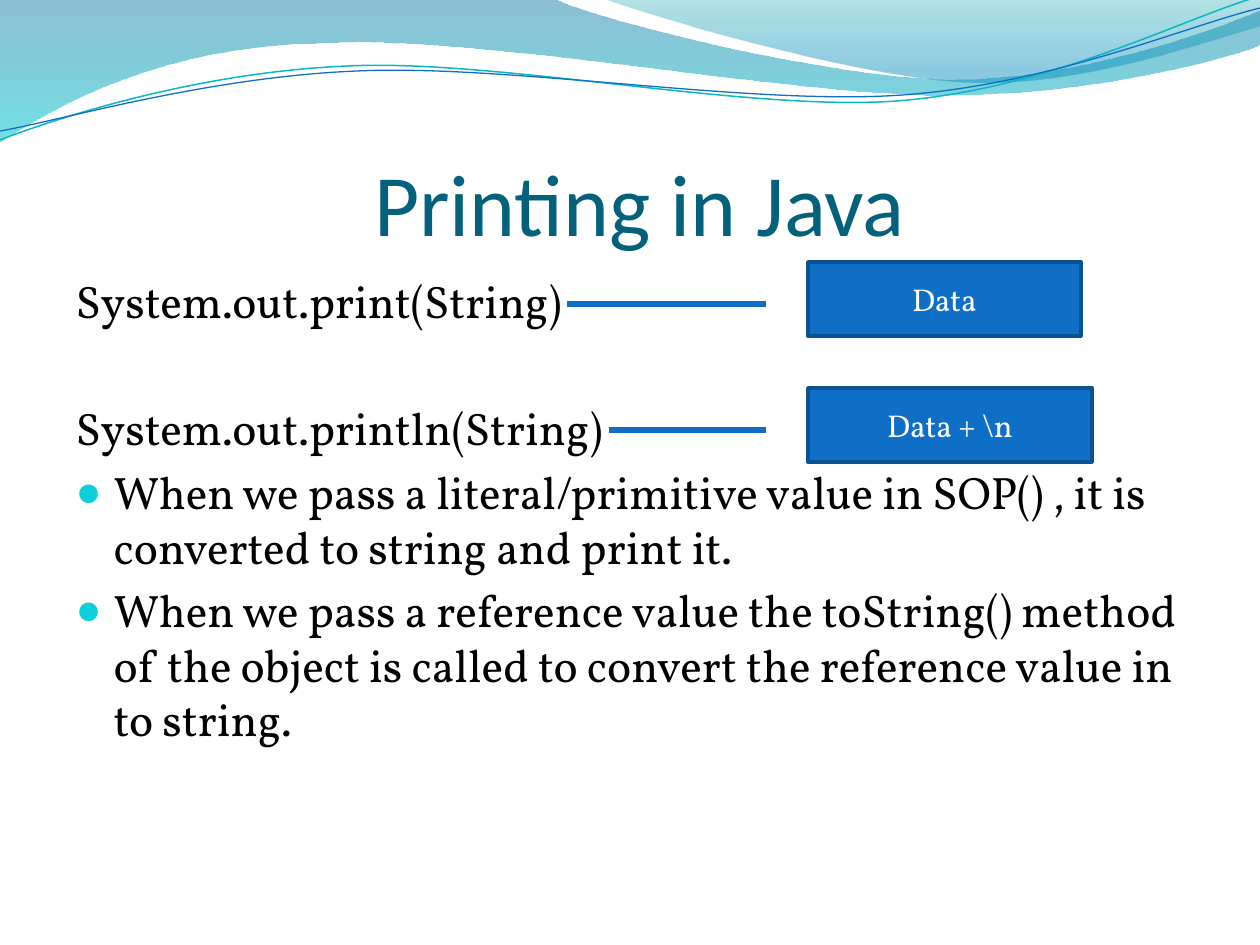
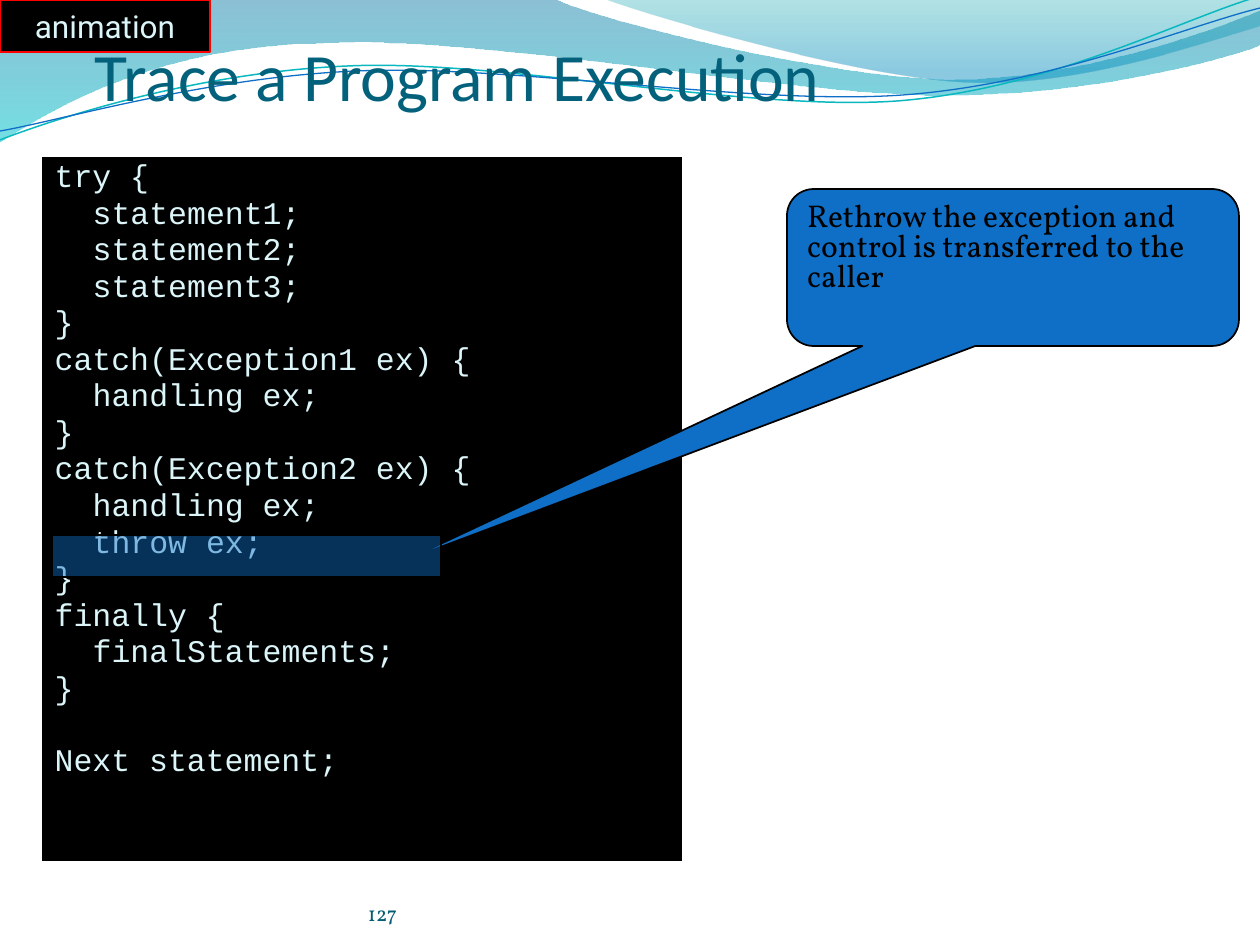
from math import cos, radians, sin
from lxml.etree import SubElement
from pptx import Presentation
from pptx.dml.color import RGBColor
from pptx.enum.shapes import MSO_CONNECTOR, MSO_SHAPE
from pptx.enum.text import MSO_ANCHOR, MSO_AUTO_SIZE, PP_ALIGN
from pptx.oxml.ns import qn
from pptx.util import Pt

SCALE = 914400 / 126
BLUE, EDGE, TEAL, CYAN = "0F6FC6", "0B5292", "04617B", "0BD0D9"
BLACK, WHITE, PALE, RED = "000000", "FFFFFF", "DBF5F9", "FF0000"
SERIF, SANS, MONO = "Vollkorn", "Calibri", "Courier New"
LEFT, MID = PP_ALIGN.LEFT, PP_ALIGN.CENTER
TOP, LOW = MSO_ANCHOR.TOP, MSO_ANCHOR.BOTTOM
TILT = 2.7

# Wave outlines: a start point, then lines (2 numbers) and curves (6 numbers)
BACK = [(0, 0), (554, -1), (600, 21, 837, 79, 955, 79),
        (1075, 79, 1207, 33, 1260, 11), (1261, 45),
        (1239, 55, 1096, 96, 940, 95), (784, 95, 481, 35, 324, 43),
        (163, 45, 58, 105, -1, 142), (0, 0)]
FRONT = [(604, -1), (641, 14, 859, 78, 969, 82),
         (1079, 87, 1211, 40, 1260, 26), (1260, 0), (604, -1)]
UPPER = [(0, 140), (60, 117, 199, 72, 349, 66),
         (498, 59, 747, 112, 898, 101), (1050, 89, 1182, 19, 1257, -3)]
LOWER = [(0, 131), (59, 121, 207, 77, 357, 71),
         (508, 64, 752, 106, 903, 95), (1053, 84, 1186, 26, 1260, 8)]


def px(n):
    return round(n * SCALE)


def rgb(code):
    return RGBColor.from_string(code)


def fade(node, part):
    """Set the opacity, in percent, of the colour inside a fill node."""
    color = next(node.iter(qn("a:srgbClr")))
    SubElement(color, qn("a:alpha"), val=str(part * 1000))


def place(shape, box):
    shape.left, shape.top, shape.width, shape.height = map(px, box)


def write(shape, lines, size=18, face=SERIF, color=BLACK, align=LEFT,
          anchor=TOP, wrap=True, pad=None, space=None):
    frame = shape.text_frame
    frame.auto_size = MSO_AUTO_SIZE.NONE
    frame.word_wrap, frame.vertical_anchor = wrap, anchor
    if pad:
        (frame.margin_left, frame.margin_top,
         frame.margin_right, frame.margin_bottom) = map(px, pad)
    frame.text = "\n".join(lines)
    for para in frame.paragraphs:
        para.alignment, para.line_spacing = align, space
        for run in para.runs:
            font = run.font
            font.size, font.name = Pt(size), face
            font.color.rgb = rgb(color)
    return frame.paragraphs


def indent(para, left, first):
    props = para._p.get_or_add_pPr()
    props.set("marL", str(px(left)))
    props.set("indent", str(px(first)))
    return props


def bullet(para, shown=True):
    props = indent(para, 38, -38)
    if not shown:
        SubElement(props, qn("a:buNone"))
        return
    tint = SubElement(props, qn("a:buClr"))
    SubElement(tint, qn("a:srgbClr"), val=CYAN)
    SubElement(props, qn("a:buSzPct"), val="95000")
    SubElement(props, qn("a:buChar"), char="●")


def block(slide, box, fill, line, width, kind=MSO_SHAPE.RECTANGLE):
    shape = slide.shapes.add_shape(kind, *map(px, box))
    shape.shadow.inherit = False
    shape.fill.solid()
    shape.fill.fore_color.rgb = rgb(fill)
    shape.line.color.rgb = rgb(line)
    shape.line.width = Pt(width)
    return shape


def turn(point, hub, angle):
    """Rotate a point clockwise about a hub."""
    c, s = cos(radians(angle)), sin(radians(angle))
    x, y = point[0] - hub[0], point[1] - hub[1]
    return hub[0] + x * c - y * s, hub[1] + x * s + y * c


def wave(slide, outline, close, hub=(0, 0), angle=0):
    """Draw an outline, joining each three points of a curve into one."""
    points = [turn(part[i:i + 2], hub, angle)
              for part in outline for i in range(0, len(part), 2)]
    points = [(px(x), px(y)) for x, y in points]
    build = slide.shapes.build_freeform(*points[0])
    build.add_line_segments(points[1:], close=close)
    shape = build.convert_to_shape()
    shape.shadow.inherit = False
    shape.rotation = -angle % 360
    nodes = iter(list(shape._element.iter(qn("a:lnTo"))))
    for part in outline[1:]:
        node = next(nodes)
        if len(part) == 6:
            curve = node.makeelement(qn("a:cubicBezTo"))
            node.addprevious(curve)
            for step in (node, next(nodes), next(nodes)):
                curve.append(step[0])
                step.getparent().remove(step)
    return shape


def header(slide):
    # Shaded bands
    for outline, stops in ((BACK, [(0, "0074A1", 45), (1, "00C6CF", 55)]),
                           (FRONT, [(0, "00A1A9", 30), (0.8, "008BBF", 45)])):
        band = wave(slide, outline, True)
        band.line.fill.background()
        band.fill.gradient()
        band.fill.gradient_angle = 270
        for stop, (pos, code, part) in zip(band.fill.gradient_stops, stops):
            stop.position, stop.color.rgb = pos, rgb(code)
            fade(stop._gs, part)
    # Thin curves
    for outline, mid, code, width in ((UPPER, 72, "0AB8BF", 0.85),
                                      (LOWER, 74, BLUE, 0.75)):
        curve = wave(slide, outline, False, (629, mid), TILT)
        curve.fill.background()
        curve.line.color.rgb = rgb(code)
        curve.line.width = Pt(width)


def start(deck, title, box, size, align):
    """Add a slide with waves behind its title; return it and its body."""
    slide = deck.slides.add_slide(deck.slide_layouts[1])
    header(slide)
    for holder in list(slide.placeholders):
        slide.shapes._spTree.append(holder._element)
    head = slide.shapes.title
    place(head, box)
    write(head, [title], size=size, face=SANS, color=TEAL, align=align,
          anchor=LOW, pad=(0, 6, 0, 0))
    return slide, slide.placeholders[1]


def call(slide, box, text, reach):
    """Draw an output box with a rule leading towards it."""
    x, y, wide, high = box
    rule = slide.shapes.add_connector(
        MSO_CONNECTOR.STRAIGHT, px(x - reach), px(y + 42), px(x - 42), px(y + 42))
    rule.line.color.rgb = rgb(BLUE)
    rule.line.width = Pt(3)
    SubElement(rule._element.spPr, qn("a:effectLst"))
    shape = block(slide, box, BLUE, EDGE, 2)
    write(shape, [text], color=WHITE, align=MID, anchor=MSO_ANCHOR.MIDDLE)


def prints(deck):
    slide, body = start(deck, " Printing in Java", (63, 97, 1134, 157), 50, MID)
    # Methods and rules
    place(body, (63, 267, 1134, 605))
    paras = write(body, [
        "System.out.print(String)",
        "System.out.println(String)",
        "When we pass a literal/primitive value in SOP() , it is "
        "converted to string and print it.",
        "When we pass a reference value the toString() method of the object "
        "is called to convert the reference value in to string."], size=26)
    paras[1].space_before = Pt(41.5)
    for i, para in enumerate(paras):
        bullet(para, i > 1)
    # Output of each method
    call(slide, (808, 262, 273, 74), "Data", 241)
    call(slide, (808, 388, 284, 74), "Data + \\n", 199)


def code(body, box):
    place(body, box)
    body.fill.solid()
    body.fill.fore_color.rgb = rgb(BLACK)
    lines = ["try {", "  statement1;", "  statement2;", "  statement3;", "}",
             "catch(Exception1 ex) {", "  handling ex;", "}",
             "catch(Exception2 ex) {", "  handling ex;", "  throw ex;", "}",
             "finally {", "  finalStatements;", "}", "Next statement;"]
    paras = write(body, [line.strip() for line in lines], face=MONO,
                  color=PALE, space=0.8)
    for para, line in zip(paras, lines):
        inner = line.startswith(" ")
        props = indent(para, 38 if inner else 0, 0)
        SubElement(props, qn("a:buNone"))
    paras[-1].space_before = Pt(24)


def tracing(deck):
    slide, body = start(deck, "Trace a Program Execution",
                        (95, 42, 1071, 73), 38.7, LEFT)
    code(body, (42, 157, 640, 704))
    # Corner tag
    tag = block(slide, (0, 0, 210, 52), BLACK, RED, 1)
    write(tag, ["animation"], face="Roboto", color=PALE, align=MID,
          anchor=MSO_ANCHOR.MIDDLE, wrap=False)
    # Callout to the active line
    note = block(slide, (787, 189, 452, 157), BLUE, BLACK, 1,
                 MSO_SHAPE.ROUNDED_RECTANGULAR_CALLOUT)
    for i, value in enumerate((-1.34, 1.86, 0.17)):
        note.adjustments[i] = value
    write(note, ["Rethrow the exception and control is transferred "
                 "to the caller"], space=0.8)[0].space_before = Pt(3.6)
    # Highlight
    mark = block(slide, (52, 535, 389, 42), BLUE, BLACK, 1)
    fade(mark._element.spPr.find(qn("a:solidFill")), 45)
    # Page number
    page = slide.shapes.add_textbox(*map(px, (368, 876, 462, 50)))
    write(page, ["127"], size=12, color="045D75", anchor=LOW, pad=(0, 0, 0, 0))


def main():
    deck = Presentation()
    deck.slide_width, deck.slide_height = px(1260), px(945)
    prints(deck)
    tracing(deck)
    deck.save("out.pptx")


if __name__ == "__main__":
    main()
